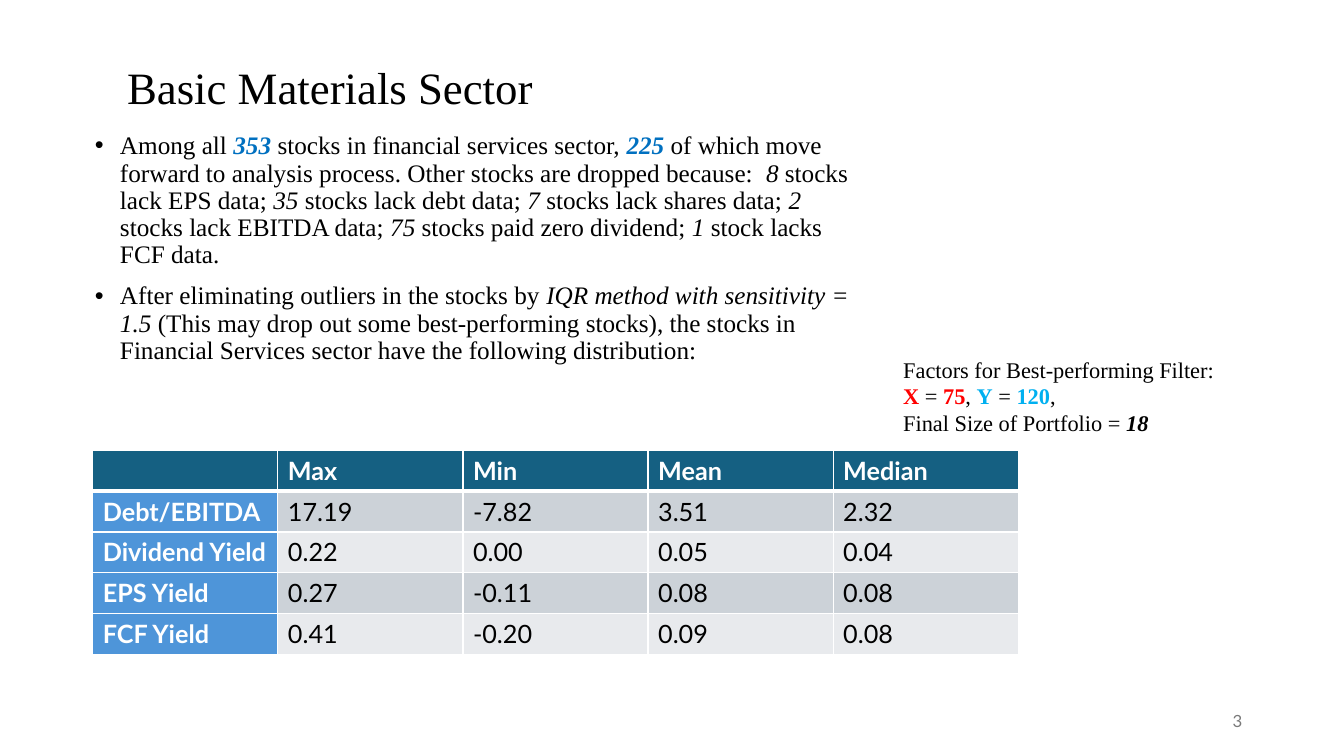
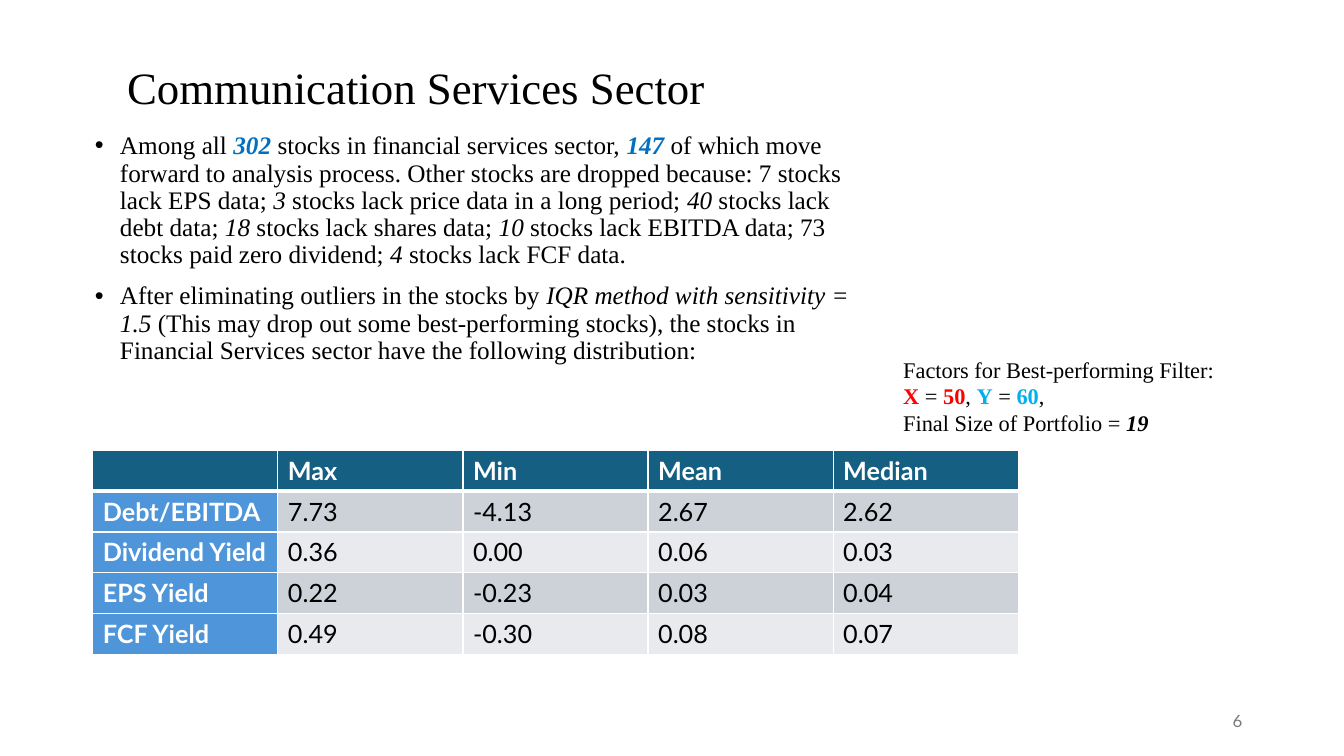
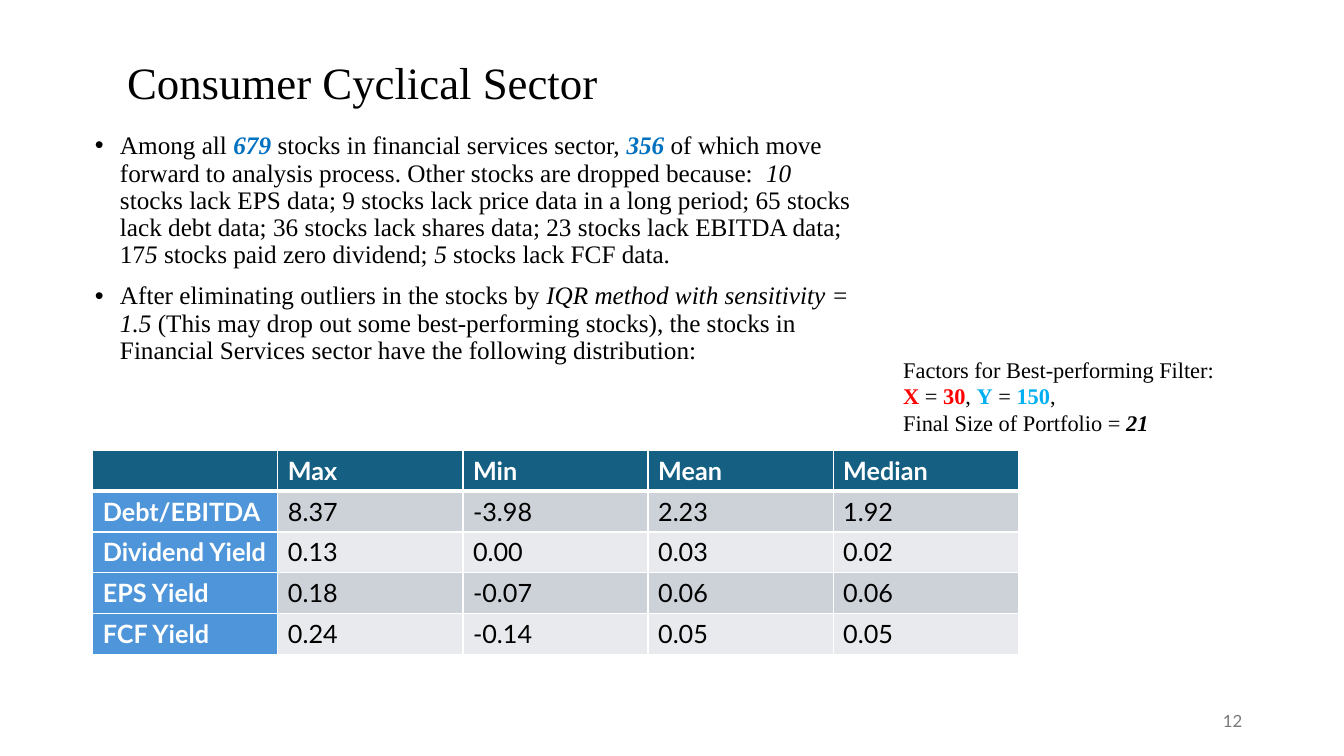
from pptx import Presentation
from pptx.dml.color import RGBColor
from pptx.enum import text as t
from pptx.oxml import parse_xml
from pptx.oxml.ns import nsdecls
from pptx.util import Inches, Pt

BLACK = RGBColor(0x00, 0x00, 0x00)
WHITE = RGBColor(0xFF, 0xFF, 0xFF)
BLUE = RGBColor(0x00, 0x70, 0xC0)
RED = RGBColor(0xFF, 0x00, 0x00)
SKY = RGBColor(0x00, 0xB0, 0xF0)
GREY = RGBColor(0x79, 0x79, 0x79)
HEADER_FILL = RGBColor(0x15, 0x60, 0x82)
LABEL_FILL = RGBColor(0x4E, 0x95, 0xD9)
BAND_FILLS = (RGBColor(0xCC, 0xD2, 0xD8), RGBColor(0xE8, 0xEA, 0xED))

SERIF = "Times New Roman"
SANS = "Lato"

PLAIN = (BLACK, False, False)
ITALIC = (BLACK, False, True)
BOLD_ITALIC = (BLACK, True, True)
COUNT = (BLUE, True, True)
X_STYLE = (RED, True, False)
Y_STYLE = (SKY, True, False)

STATISTICS = ("Max", "Min", "Mean", "Median")
METRICS = ("Debt/EBITDA", "Dividend Yield", "EPS Yield", "FCF Yield")
OUTLIERS = (
    "After eliminating outliers in the stocks by |IQR method with sensitivity = 1.5 |"
    "(This may drop out some best-performing stocks), the stocks in Financial Services "
    "sector have the following distribution:"
)

SECTORS = [
    {
        "title": "Basic Materials Sector", "title_size": (4.9, 1.48), "page": 3,
        "total": 353, "kept": 225,
        "dropped": "  |8| stocks lack EPS data; |35| stocks lack debt data; |7| stocks lack "
                   "shares data; |2| stocks lack EBITDA data; |75| stocks paid zero dividend; "
                   "|1| stock lacks FCF data.",
        "x": 75, "y": 120, "portfolio": 18,
        "values": [(17.19, -7.82, 3.51, 2.32), (0.22, 0, 0.05, 0.04),
                   (0.27, -0.11, 0.08, 0.08), (0.41, -0.20, 0.09, 0.08)],
    },
    {
        "title": "Communication Services Sector", "title_size": (6.2, 1.48), "page": 6,
        "total": 302, "kept": 147,
        "dropped": " 7 stocks lack EPS data; |3| stocks lack price data in a long period; "
                   "|40| stocks lack debt data; |18| stocks lack shares data; |10| stocks lack "
                   "EBITDA data; 73 stocks paid zero dividend; |4| stocks lack FCF data.",
        "x": 50, "y": 60, "portfolio": 19,
        "values": [(7.73, -4.13, 2.67, 2.62), (0.36, 0, 0.06, 0.03),
                   (0.22, -0.23, 0.03, 0.04), (0.49, -0.30, 0.08, 0.07)],
    },
    {
        "title": "Consumer Cyclical Sector", "title_size": (8.94, 1.39), "page": 12,
        "total": 679, "kept": 356,
        "dropped": "  |10| stocks lack EPS data; 9 stocks lack price data in a long period; "
                   "65 stocks lack debt data; 36 stocks lack shares data; 23 stocks lack EBITDA "
                   "data; 17|5| stocks paid zero dividend; |5| stocks lack FCF data.",
        "x": 30, "y": 150, "portfolio": 21,
        "values": [(8.37, -3.98, 2.23, 1.92), (0.13, 0, 0.03, 0.02),
                   (0.18, -0.07, 0.06, 0.06), (0.24, -0.14, 0.05, 0.05)],
    },
]


def style(font, name, size, color, bold=False, italic=False):
    font.name = name
    font.size = Pt(size)
    font.color.rgb = color
    font.bold = bold
    font.italic = italic


def emphasised(marked):
    return [(part, (PLAIN, ITALIC)[i % 2]) for i, part in enumerate(marked.split("|"))]


def fill_paragraphs(frame, paragraphs, size):
    frame.text = "\n".join("" for _ in paragraphs)
    for paragraph, runs in zip(frame.paragraphs, paragraphs):
        for wording, look in runs:
            run = paragraph.add_run()
            run.text = wording
            style(run.font, SERIF, size, *look)


def place(shape, left, top, width, height):
    shape.left, shape.top = Inches(left), Inches(top)
    shape.width, shape.height = Inches(width), Inches(height)


def add_title(slide, sector):
    title = slide.shapes.title
    place(title, 1.16, 0.15, *sector["title_size"])
    frame = title.text_frame
    frame.text = sector["title"]
    frame.auto_size = t.MSO_AUTO_SIZE.NONE
    frame.vertical_anchor = t.MSO_ANCHOR.MIDDLE
    heading = frame.paragraphs[0]
    heading.alignment = t.PP_ALIGN.LEFT
    heading.line_spacing = 0.9
    style(heading.runs[0].font, SERIF, 32, BLACK)


def add_findings(slide, sector):
    body = slide.placeholders[1]
    place(body, 0.84, 1.27, 7.73, 2.95)
    selection = [
        ("Among all ", PLAIN), (str(sector["total"]), COUNT),
        (" stocks in financial services sector, ", PLAIN), (str(sector["kept"]), COUNT),
        (" of which move forward to analysis process. Other stocks are dropped because:", PLAIN),
    ] + emphasised(sector["dropped"])
    frame = body.text_frame
    fill_paragraphs(frame, [selection, emphasised(OUTLIERS)], 18)
    frame.auto_size = t.MSO_AUTO_SIZE.NONE
    for paragraph in frame.paragraphs:
        paragraph.line_spacing = 0.9
        paragraph.space_before = Pt(10)
        properties = paragraph._p.get_or_add_pPr()
        properties.set("marL", str(Inches(0.25)))
        properties.set("indent", str(-Inches(0.25)))


def add_page_number(slide, page):
    number = slide.shapes.add_textbox(Inches(9.42), Inches(6.95), Inches(3), Inches(0.4))
    frame = number.text_frame
    frame.word_wrap = True
    frame.vertical_anchor = t.MSO_ANCHOR.MIDDLE
    frame.text = str(page)
    frame.paragraphs[0].alignment = t.PP_ALIGN.RIGHT
    style(frame.paragraphs[0].runs[0].font, SANS, 12, GREY)


def set_borders(cell, row):
    properties = cell._tc.get_or_add_tcPr()
    widths = {"L": 1, "R": 1, "T": 3 if row == 1 else 1, "B": 3 if row == 0 else 1}
    for side, width in widths.items():
        properties.append(parse_xml(
            f'<a:ln{side} {nsdecls("a")} w="{Pt(width)}"><a:solidFill>'
            f'<a:srgbClr val="{WHITE}"/></a:solidFill></a:ln{side}>'))


def add_distribution(slide, values):
    rows = [("", *STATISTICS)]
    rows += [(metric, *(f"{v:.2f}" for v in line)) for metric, line in zip(METRICS, values)]
    table = slide.shapes.add_table(len(rows), len(rows[0]), Inches(0.92), Inches(4.47),
                                   Inches(9.18), Inches(2.02)).table
    for r, line in enumerate(rows):
        for c, wording in enumerate(line):
            cell = table.cell(r, c)
            set_borders(cell, r)
            heading = r == 0 or c == 0
            cell.fill.solid()
            cell.fill.fore_color.rgb = (HEADER_FILL if r == 0 else LABEL_FILL if c == 0
                                        else BAND_FILLS[(r - 1) % 2])
            cell.text = wording
            style(cell.text_frame.paragraphs[0].font, SANS, 18,
                  WHITE if heading else BLACK, heading)


def add_factors(slide, sector):
    factors = slide.shapes.add_textbox(Inches(8.86), Inches(3.48), Inches(3.56), Inches(0.91))
    frame = factors.text_frame
    frame.word_wrap = True
    frame.auto_size = t.MSO_AUTO_SIZE.SHAPE_TO_FIT_TEXT
    fill_paragraphs(frame, [
        [("Factors for Best-performing Filter:", PLAIN)],
        [("X", X_STYLE), (" = ", PLAIN), (str(sector["x"]), X_STYLE), (", ", PLAIN),
         ("Y", Y_STYLE), (" = ", PLAIN), (str(sector["y"]), Y_STYLE), (",", PLAIN)],
        [("Final Size of Portfolio = ", PLAIN), (str(sector["portfolio"]), BOLD_ITALIC)],
    ], 16)


def main():
    deck = Presentation()
    deck.slide_width, deck.slide_height = Inches(13.33), Inches(7.5)
    for sector in SECTORS:
        slide = deck.slides.add_slide(deck.slide_layouts[1])
        add_title(slide, sector)
        add_findings(slide, sector)
        add_page_number(slide, sector["page"])
        add_distribution(slide, sector["values"])
        add_factors(slide, sector)
    deck.save("out.pptx")


if __name__ == "__main__":
    main()
